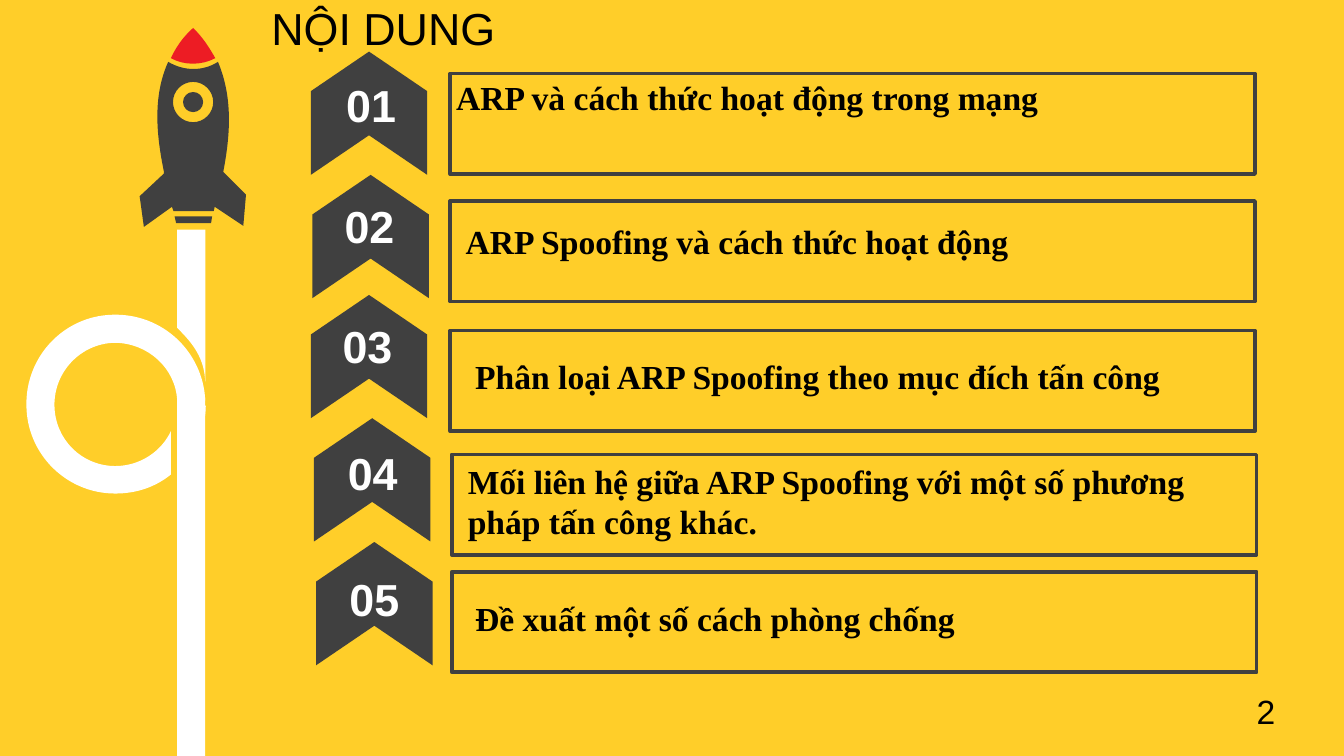
from dataclasses import dataclass

from lxml.etree import SubElement
from pptx import Presentation
from pptx.dml.color import RGBColor
from pptx.enum.shapes import MSO_SHAPE as SHAPE
from pptx.enum.text import MSO_ANCHOR as ANCHOR, MSO_AUTO_SIZE as AUTO, PP_ALIGN as ALIGN
from pptx.oxml.ns import qn
from pptx.util import Cm, Pt

YELLOW = RGBColor(0xFF, 0xCE, 0x29)
DARK = RGBColor(0x40, 0x40, 0x40)
RED = RGBColor(0xED, 0x1C, 0x24)
WHITE = RGBColor(0xFF, 0xFF, 0xFF)
BLACK = RGBColor(0, 0, 0)
SANS, SERIF = "Arial", "Times New Roman"

Point = tuple[float, float]
Contour = list[tuple[float, ...]]  # start point, then lines (x, y) and curves (6 numbers)


@dataclass
class Item:
    """One agenda entry; positions are (left, top) in cm."""
    text: str
    frame: Point
    label: Point
    badge: Point
    number: Point
    size: Point = (14, 1.07)
    before: float = 0
    after: float = 0


@dataclass
class Outline:
    """A filled curved outline in cm."""
    fill: RGBColor
    at: Point
    size: Point
    contours: list[Contour]


def circle(x: float, y: float, r: float) -> Contour:
    k = 0.55 * r
    return [(x, y - r), (x + k, y - r, x + r, y - k, x + r, y),
            (x + r, y + k, x + k, y + r, x, y + r),
            (x - k, y + r, x - r, y + k, x - r, y),
            (x - r, y - k, x - k, y - r, x, y - r)]


ITEMS = [
    Item("ARP và cách thức hoạt động trong mạng",
         (8.51, 1.39), (8.32, 1.28), (5.81, 1.04), (6.24, 1.35)),
    Item("ARP Spoofing và cách thức hoạt động",
         (8.51, 3.8), (8.5, 4), (5.84, 3.37), (6.21, 3.63)),
    Item("Phân loại ARP Spoofing theo mục đích tấn công",
         (8.51, 6.25), (8.68, 6.55), (5.81, 5.64), (6.17, 5.9)),
    Item("Mối liên hệ giữa ARP Spoofing với một số phương pháp tấn công khác.",
         (8.54, 8.59), (8.5, 8.49), (5.87, 7.97), (6.27, 8.3), size=(14.4, 1.88)),
    Item("Đề xuất một số cách phòng chống",
         (8.54, 10.81), (8.68, 11.13), (5.91, 10.31), (6.3, 10.68), before=20, after=6),
]

SMOKE_LOOP = Outline(WHITE, (0.5, 5.95), (3.39, 3.38), [
    [(3.76, 7.67), (3.89, 7.67), (3.89, 7.87, 3.84, 8.08, 3.76, 8.28)],
    [(2.13, 5.95), (3.07, 5.92, 3.84, 6.65, 3.88, 7.57), (3.35, 7.59),
     (3.33, 6.96, 2.79, 6.48, 2.16, 6.48), (1.52, 6.5, 1.02, 7.03, 1.03, 7.67),
     (1.04, 8.31, 1.55, 8.81, 2.18, 8.81), (2.64, 8.81, 3.05, 8.54, 3.23, 8.15),
     (3.23, 8.97), (2.95, 9.2, 2.59, 9.33, 2.18, 9.33),
     (1.26, 9.33, 0.51, 8.59, 0.5, 7.67), (0.48, 6.74, 1.21, 5.97, 2.13, 5.95)]])
SMOKE_TOP = Outline(WHITE, (3.35, 4.34), (0.53, 2.87), [
    [(3.35, 4.34), (3.88, 4.34), (3.88, 5.3, 3.88, 6.25, 3.88, 7.21),
     (3.86, 6.78, 3.66, 6.5, 3.35, 6.2), (3.35, 4.34)]])
BODY = Outline(DARK, (2.64, 1.17), (2.01, 3.12), [
    [(3.3, 4.09), (4.01, 4.09), (4.01, 4.13, 3.99, 4.17, 3.99, 4.22), (3.33, 4.22)],
    circle(3.65, 1.93, 0.19), circle(3.65, 1.93, 0.38),
    [(3.18, 1.17), (3.48, 1.35, 3.84, 1.35, 4.12, 1.17),
     (4.42, 1.88, 4.34, 2.62, 4.22, 3.25), (4.65, 3.68), (4.6, 4.27), (4.06, 3.91),
     (4.04, 3.99), (3.28, 3.99), (3.28, 3.96, 3.25, 3.94, 3.25, 3.91), (2.72, 4.29),
     (2.64, 3.71), (3.1, 3.28), (3.1, 3.25), (2.97, 2.62, 2.87, 1.85, 3.18, 1.17)]])
NOSE = Outline(RED, (3.23, 0.53), (0.84, 0.68), [
    [(3.65, 0.53), (3.84, 0.71, 3.96, 0.91, 4.07, 1.1),
     (3.81, 1.24, 3.48, 1.24, 3.23, 1.1), (3.33, 0.89, 3.45, 0.71, 3.65, 0.53)]])


def paint(sp, fill: RGBColor | None = None, line: RGBColor | None = None) -> None:
    sp.shadow.inherit = False
    if fill is None:
        sp.fill.background()
    else:
        sp.fill.solid()
        sp.fill.fore_color.rgb = fill
    if line is None:
        sp.line.fill.background()
    else:
        sp.line.color.rgb = line
        sp.line.width = Pt(2)


def add_outline(shapes, o: Outline) -> None:
    # The frame sets position and size; its path is then replaced by the curves
    left, top, width, height = map(Cm, o.at + o.size)
    fb = shapes.build_freeform(left, top)
    fb.add_line_segments([(left + width, top), (left + width, top + height)])
    sp = fb.convert_to_shape()
    outline = sp._element.find(".//" + qn("a:path"))
    for child in list(outline):
        outline.remove(child)
    for contour in o.contours:
        for i, step in enumerate(contour):
            tag = "a:moveTo" if i == 0 else "a:cubicBezTo" if len(step) == 6 else "a:lnTo"
            node = SubElement(outline, qn(tag))
            for x, y in zip(step[::2], step[1::2]):
                SubElement(node, qn("a:pt"), x=str(Cm(x) - left), y=str(Cm(y) - top))
        SubElement(outline, qn("a:close"))
    paint(sp, o.fill)


def add_preset(shapes, kind: SHAPE, at: Point, size: Point,
               fill: RGBColor | None = None, line: RGBColor | None = None):
    sp = shapes.add_shape(kind, *map(Cm, at + size))
    paint(sp, fill, line)
    return sp


def write(sp, text: str, size: float, font: str, color: RGBColor, bold: bool = False,
          align: ALIGN = ALIGN.LEFT, anchor: ANCHOR = ANCHOR.TOP,
          wrap: bool = True, grow: bool = True):
    tf = sp.text_frame
    tf.text = text
    tf.word_wrap = wrap
    tf.vertical_anchor = anchor
    tf.auto_size = AUTO.SHAPE_TO_FIT_TEXT if grow else AUTO.NONE
    p = tf.paragraphs[0]
    p.alignment = align
    f = p.runs[0].font
    f.size, f.name, f.bold = Pt(size), font, bold
    f.color.rgb = color
    return p


def add_text(shapes, at: Point, size: Point, text: str, *args, **kwargs) -> None:
    write(shapes.add_textbox(*map(Cm, at + size)), text, *args, **kwargs)


def add_item(shapes, number: int, item: Item) -> None:
    add_preset(shapes, SHAPE.RECTANGLE, item.frame, (15.21, 1.9), line=DARK)
    label = add_preset(shapes, SHAPE.ROUND_2_SAME_RECTANGLE, item.label, item.size)
    p = write(label, item.text, 18, SERIF, BLACK, bold=True)
    if item.before:
        p.space_before, p.space_after = Pt(item.before), Pt(item.after)
    badge = add_preset(shapes, SHAPE.CHEVRON, item.badge, (2.33, 2.2), DARK)
    badge.adjustments[0] = 0.34
    badge.rotation = 270
    add_text(shapes, item.number, (1.55, 1.27), f"{number:02}", 24, SANS, WHITE,
             bold=True, align=ALIGN.CENTER)


def main() -> None:
    prs = Presentation()
    prs.slide_width, prs.slide_height = Cm(25.4), Cm(14.29)
    s = prs.slides.add_slide(prs.slide_layouts[6])
    s.background.fill.solid()
    s.background.fill.fore_color.rgb = YELLOW
    shapes = s.shapes

    # Smoke trail and title
    add_outline(shapes, SMOKE_LOOP)
    add_outline(shapes, SMOKE_TOP)
    add_text(shapes, (4.3, -0.36), (5.89, 1.78), "NỘI DUNG", 24, SANS, BLACK,
             align=ALIGN.CENTER, anchor=ANCHOR.MIDDLE, grow=False)

    # Rocket
    add_outline(shapes, BODY)
    add_preset(shapes, SHAPE.RECTANGLE, (3.35, 7.52), (0.53, 6.77), WHITE)
    add_outline(shapes, NOSE)

    # Agenda and page number
    for number, item in enumerate(ITEMS, 1):
        add_item(shapes, number, item)
    add_text(shapes, (23.5, 12.93), (0.86, 1.02), "2", 18, SANS, BLACK, wrap=False)

    prs.save("out.pptx")


if __name__ == "__main__":
    main()
